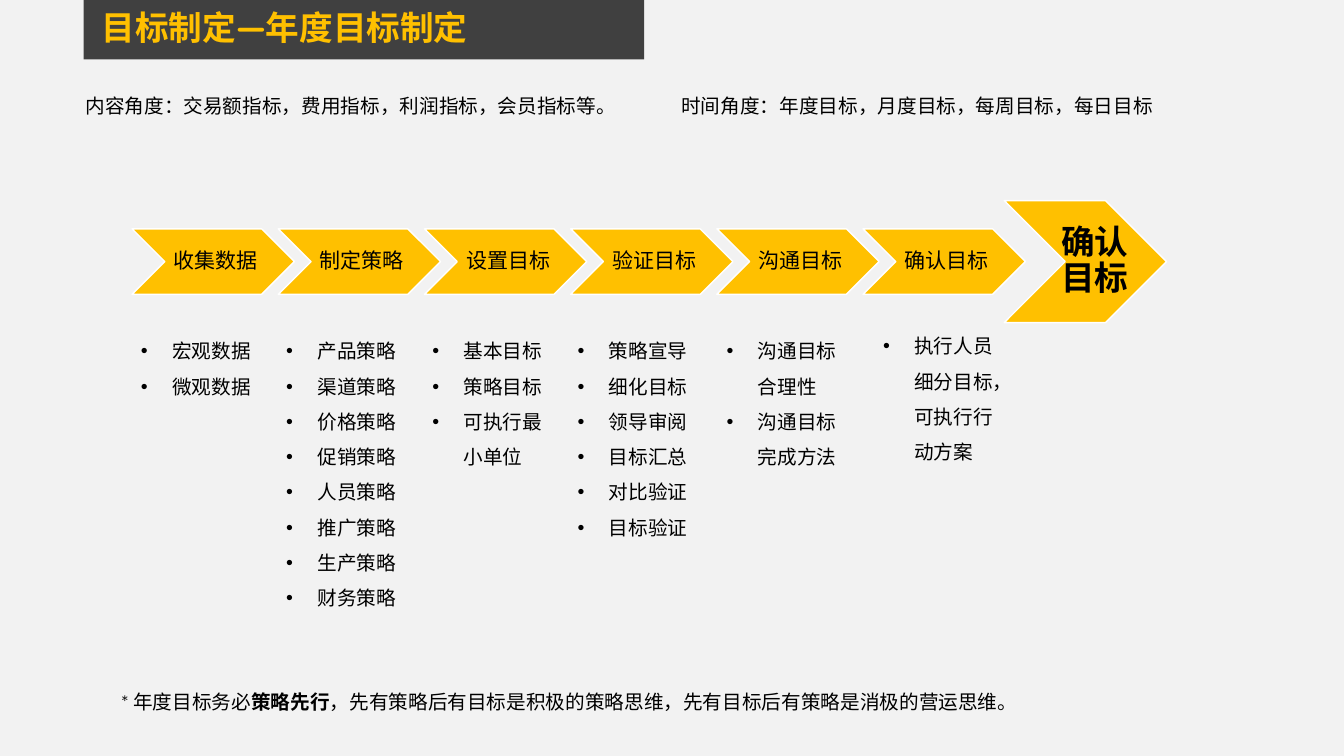
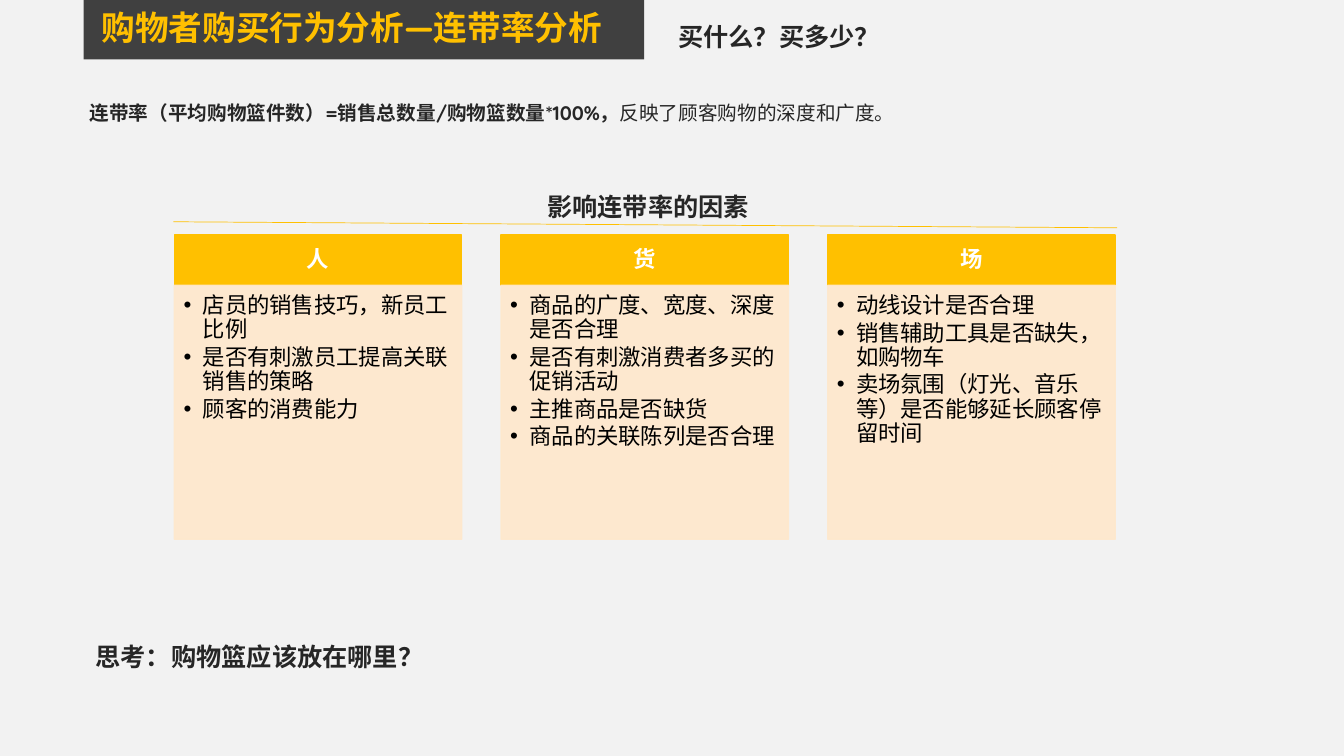
"""Build two slides on yearly target setting and basket-size analysis."""
from lxml import etree
from pptx import Presentation
from pptx.dml.color import RGBColor
from pptx.enum import shapes as kinds, text as styles
from pptx.oxml import ns
from pptx.util import Inches, Pt

FONT = "Quicksand"
GOLD = RGBColor(0xFF, 0xC0, 0x00)
CREAM = RGBColor(0xFF, 0xE8, 0xCC)
CHARCOAL = RGBColor(0x40, 0x40, 0x40)
INK = RGBColor(0x26, 0x26, 0x26)
BLACK = RGBColor(0x00, 0x00, 0x00)
WHITE = RGBColor(0xFF, 0xFF, 0xFF)
PAPER = RGBColor(0xF2, 0xF2, 0xF2)

MARGINS = (0.1, 0.05, 0.1, 0.05)
CHEVRON_MARGINS = (0.07, 0.02, 0.02, 0.02)
CENTERED = {"alignment": styles.PP_ALIGN.CENTER, "line_spacing": 0.9}
TOP, MIDDLE = styles.MSO_ANCHOR.TOP, styles.MSO_ANCHOR.MIDDLE
CHEVRON = kinds.MSO_SHAPE.CHEVRON
RECTANGLE = kinds.MSO_SHAPE.RECTANGLE

STEPS = [
    ("收集数据", 1.3, 3.2, ["宏观数据", "微观数据"]),
    ("制定策略", 2.74, 3.2, ["产品策略", "渠道策略", "价格策略", "促销策略",
                         "人员策略", "推广策略", "生产策略", "财务策略"]),
    ("设置目标", 4.19, 3.2, ["基本目标", "策略目标", "可执行最小单位"]),
    ("验证目标", 5.63, 3.2, ["策略宣导", "细化目标", "领导审阅",
                         "目标汇总", "对比验证", "目标验证"]),
    ("沟通目标", 7.11, 3.2, ["沟通目标合理性", "沟通目标完成方法"]),
    ("确认目标", 8.66, 3.15, ["执行人员细分目标，可执行行动方案"]),
]
FACTORS = [
    ("人", ["店员的销售技巧，新员工比例", "是否有刺激员工提高关联销售的策略", "顾客的消费能力"]),
    ("货", ["商品的广度、宽度、深度是否合理", "是否有刺激消费者多买的促销活动",
           "主推商品是否缺货", "商品的关联陈列是否合理"]),
    ("场", ["动线设计是否合理", "销售辅助工具是否缺失，如购物车",
           "卖场氛围（灯光、音乐等）是否能够延长顾客停留时间"]),
]


def apply(target, values):
    """Set every attribute named in values on target."""
    for name, value in values.items():
        setattr(target, name, value)


def add_bullet(paragraph, indent):
    """Give a paragraph a round bullet with a hanging indent."""
    props = paragraph._p.get_or_add_pPr()
    props.set("marL", str(Inches(indent)))
    props.set("indent", str(-Inches(indent)))
    etree.SubElement(props, ns.qn("a:buFont"), typeface="Arial")
    etree.SubElement(props, ns.qn("a:buChar"), char="•")


def add_run(paragraph, words, size, color, bold):
    """Append one formatted run to a paragraph."""
    run = paragraph.add_run()
    run.text = words
    apply(run.font, {"name": FONT, "size": Pt(size), "bold": bold})
    run.font.color.rgb = color
    etree.SubElement(run._r.get_or_add_rPr(), ns.qn("a:ea"), typeface=FONT)


def write(frame, paragraphs, size, color=BLACK, bold=False, margins=MARGINS,
          anchor=TOP, layout=None, indent=None):
    """Fill a text frame; a paragraph is a string or a list of (words, bold)."""
    left, top, right, bottom = map(Inches, margins)
    apply(frame, {"word_wrap": True, "vertical_anchor": anchor,
                  "margin_left": left, "margin_top": top,
                  "margin_right": right, "margin_bottom": bottom})
    for index, content in enumerate(paragraphs):
        paragraph = frame.add_paragraph() if index else frame.paragraphs[0]
        apply(paragraph, {"alignment": styles.PP_ALIGN.LEFT, **(layout or {})})
        if indent:
            add_bullet(paragraph, indent)
        runs = [(content, bold)] if isinstance(content, str) else content
        for words, weight in runs:
            add_run(paragraph, words, size, color, weight)


def add_text(slide, box, paragraphs, size, **options):
    """Place a text box."""
    frame = slide.shapes.add_textbox(*map(Inches, box)).text_frame
    write(frame, paragraphs, size, **options)


def add_block(slide, kind, box, fill, line=None):
    """Place a flat filled shape, outlined when a line colour is given."""
    block = slide.shapes.add_shape(kind, *map(Inches, box))
    block.shadow.inherit = False
    block.fill.solid()
    block.fill.fore_color.rgb = fill
    if line is None:
        block.line.fill.background()
    else:
        block.line.color.rgb = line
        block.line.width = Pt(1)
    return block


def add_rule(slide, start, end):
    """Draw a thin gold line."""
    rule = slide.shapes.add_connector(kinds.MSO_CONNECTOR.STRAIGHT,
                                      *map(Inches, start + end))
    rule.line.color.rgb = GOLD
    rule.line.width = Pt(0.5)
    etree.SubElement(rule._element.spPr, ns.qn("a:effectLst"))


def add_titled_slide(deck, title):
    """Add a blank slide with the shared background and title band."""
    slide = deck.slides.add_slide(deck.slide_layouts[6])
    slide.background.fill.solid()
    slide.background.fill.fore_color.rgb = PAPER
    add_block(slide, RECTANGLE, (0.83, 0, 5.56, 0.59), CHARCOAL)
    add_text(slide, (0.91, 0.06, 5.25, 0.5), [title], 24, color=GOLD, bold=True,
             layout={"line_spacing": 0.9})
    return slide


def add_step(slide, left, label):
    """Add one labelled chevron of the process."""
    step = add_block(slide, CHEVRON, (left, 2.27, 1.61, 0.65), GOLD, WHITE)
    write(step.text_frame, [label], 15, margins=CHEVRON_MARGINS, anchor=MIDDLE,
          layout=CENTERED)


def add_factor(slide, left, heading, points):
    """Add a card with a gold heading over a bulleted body."""
    header = add_block(slide, RECTANGLE, (left, 2.33, 2.85, 0.5), GOLD, GOLD)
    write(header.text_frame, [heading], 16, color=WHITE, bold=True,
          margins=(0.12, 0.07, 0.12, 0.07), anchor=MIDDLE, layout=CENTERED)
    body = add_block(slide, RECTANGLE, (left, 2.83, 2.85, 2.52), CREAM, CREAM)
    for tint in body._element.spPr.iter(ns.qn("a:srgbClr")):
        etree.SubElement(tint, ns.qn("a:alpha"), val="90000")
    write(body.text_frame, points, 16, margins=(0.09, 0.09, 0.12, 0.14),
          layout={"line_spacing": 0.9, "space_after": Pt(2.4)}, indent=0.19)


def build_targets(deck):
    """Build the yearly target process slide."""
    slide = add_titled_slide(deck, "目标制定—年度目标制定")
    add_text(slide, (0.75, 0.88, 5.8, 0.34),
             ["内容角度：交易额指标，费用指标，利润指标，会员指标等。"], 14)
    add_text(slide, (6.66, 0.88, 5.77, 0.34),
             ["时间角度：年度目标，月度目标，每周目标，每日目标"], 14)
    for index, (label, left, top, points) in enumerate(STEPS):
        add_step(slide, 1.31 + 1.45 * index, label)
        add_text(slide, (left, top, 1.44, 0.46 + 0.35 * (len(points) - 1)), points, 14,
                 layout={"line_spacing": 1.5}, indent=0.31)
    add_block(slide, CHEVRON, (9.96, 1.99, 1.61, 1.21), GOLD, WHITE)
    add_text(slide, (10.42, 1.99, 0.83, 1.21), ["确认目标"], 24, bold=True,
             margins=CHEVRON_MARGINS, anchor=MIDDLE, layout=CENTERED)
    add_text(slide, (1.11, 6.8, 9.66, 0.34),
             [[("* 年度目标务必", False), ("策略先行", True),
               ("，先有策略后有目标是积极的策略思维，先有目标后有策略是消极的营运思维。", False)]], 14)


def build_basket(deck):
    """Build the basket-size analysis slide."""
    slide = add_titled_slide(deck, "购物者购买行为分析—连带率分析")
    add_text(slide, (0.79, 0.84, 12.38, 0.41),
             [[("连带率（平均购物篮件数）=销售总数量/购物篮数量*100%，", True),
               ("反映了顾客购物的深度和广度。", False)]],
             14, color=INK, layout={"line_spacing": 1.5})
    for left, top, width, words in [(6.63, 0.16, 2.14, "买什么？买多少？"),
                                    (5.33, 1.85, 3.29, "影响连带率的因素"),
                                    (0.85, 6.31, 3.4, "思考：购物篮应该放在哪里？")]:
        add_text(slide, (left, top, width, 0.4), [words], 18, color=INK, bold=True)
    add_rule(slide, (1.72, 2.2), (11.08, 2.26))
    for index, (heading, points) in enumerate(FACTORS):
        add_factor(slide, 1.73 + 3.24 * index, heading, points)


def main():
    """Build and save the deck."""
    deck = Presentation()
    apply(deck, {"slide_width": Inches(13.33), "slide_height": Inches(7.5)})
    build_targets(deck)
    build_basket(deck)
    deck.save("out.pptx")


if __name__ == "__main__":
    main()
